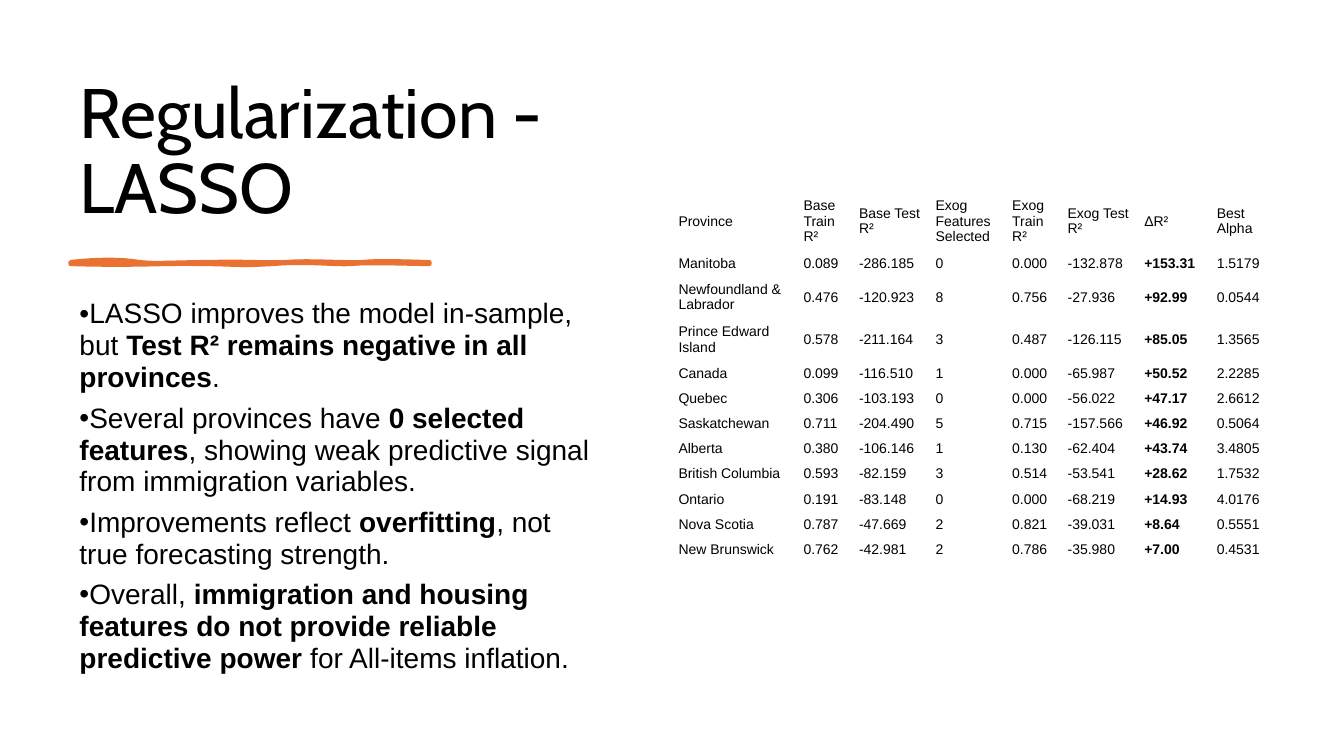
"""Build the LASSO regularization slide with its findings and results table."""
from lxml import etree
from pptx import Presentation
from pptx.dml.color import RGBColor
from pptx.enum.text import MSO_ANCHOR
from pptx.oxml.ns import qn
from pptx.util import Inches, Pt

BLACK = RGBColor(0x00, 0x00, 0x00)
ORANGE = RGBColor(0xE9, 0x71, 0x32)
MIDDLE, BOTTOM = MSO_ANCHOR.MIDDLE, MSO_ANCHOR.BOTTOM
HEAD_FONT, BODY_FONT = "Cabin", "Arial"

TITLE = "Regularization - LASSO"
FINDINGS = [
    [("LASSO improves the model in-sample, but ", False),
     ("Test R² remains negative in all provinces", True), (".", False)],
    [("Several provinces have ", False), ("0 selected features", True),
     (", showing weak predictive signal from immigration variables.", False)],
    [("Improvements reflect ", False), ("overfitting", True),
     (", not true forecasting strength.", False)],
    [("Overall, ", False),
     ("immigration and housing features do not provide reliable predictive power", True),
     (" for All-items inflation.", False)],
]
RESULTS = [
    ("Province", "Base Train R²", "Base Test R²", "Exog Features Selected",
     "Exog Train R²", "Exog Test R²", "ΔR²", "Best Alpha"),
    ("Manitoba", "0.089", "-286.185", "0", "0.000", "-132.878", "+153.31", "1.5179"),
    ("Newfoundland & Labrador", "0.476", "-120.923", "8", "0.756", "-27.936", "+92.99", "0.0544"),
    ("Prince Edward Island", "0.578", "-211.164", "3", "0.487", "-126.115", "+85.05", "1.3565"),
    ("Canada", "0.099", "-116.510", "1", "0.000", "-65.987", "+50.52", "2.2285"),
    ("Quebec", "0.306", "-103.193", "0", "0.000", "-56.022", "+47.17", "2.6612"),
    ("Saskatchewan", "0.711", "-204.490", "5", "0.715", "-157.566", "+46.92", "0.5064"),
    ("Alberta", "0.380", "-106.146", "1", "0.130", "-62.404", "+43.74", "3.4805"),
    ("British Columbia", "0.593", "-82.159", "3", "0.514", "-53.541", "+28.62", "1.7532"),
    ("Ontario", "0.191", "-83.148", "0", "0.000", "-68.219", "+14.93", "4.0176"),
    ("Nova Scotia", "0.787", "-47.669", "2", "0.821", "-39.031", "+8.64", "0.5551"),
    ("New Brunswick", "0.762", "-42.981", "2", "0.786", "-35.980", "+7.00", "0.4531"),
]
COL_WIDTHS = [1.24, 0.55, 0.76, 0.76, 0.55, 0.76, 0.72, 0.63]
ROW_HEIGHTS = [0.59, 0.25, 0.42, 0.42] + [0.25] * 8
DELTA_COL = 6

STROKE_START = (0.7, 2.6)
STROKE_CURVES = [
    ((0.97, 2.57), (1.21, 2.57), (1.38, 2.6)),
    ((1.55, 2.62), (1.77, 2.6), (2.09, 2.6)),
    ((2.41, 2.59), (2.6, 2.61), (2.84, 2.6)),
    ((3.08, 2.58), (3.39, 2.61), (3.59, 2.6)),
    ((3.79, 2.58), (4.12, 2.6), (4.26, 2.6)),
    ((4.26, 2.6), (4.26, 2.61), (4.26, 2.62)),
    ((4.08, 2.62), (3.64, 2.6), (3.48, 2.62)),
    ((3.32, 2.63), (3.04, 2.59), (2.7, 2.62)),
    ((2.35, 2.64), (2.31, 2.62), (1.99, 2.62)),
    ((1.66, 2.61), (1.32, 2.64), (0.7, 2.62)),
]
CURVE_STEPS = 8


def style(r, font, size, bold=False):
    r.font.name, r.font.size, r.font.bold = font, Pt(size), bold
    r.font.color.rgb = BLACK


def add_text_frame(s, x, y, w, h):
    tf = s.shapes.add_textbox(Inches(x), Inches(y), Inches(w), Inches(h)).text_frame
    tf.word_wrap = True
    return tf


def add_title(s):
    tf = add_text_frame(s, 0.69, 0.7, 5.27, 1.62)
    tf.vertical_anchor = BOTTOM
    tf.text = TITLE
    p = tf.paragraphs[0]
    p.line_spacing = 0.9
    style(p.runs[0], HEAD_FONT, 50)


def add_findings(s):
    tf = add_text_frame(s, 0.69, 2.91, 5.27, 3.88)
    for i, finding in enumerate(FINDINGS):
        p = tf.add_paragraph() if i else tf.paragraphs[0]
        p.line_spacing, p.space_after = 0.95, Pt(6)
        pPr = p._p.get_or_add_pPr()
        pPr.set("marL", "0")
        pPr.set("indent", "0")
        etree.SubElement(pPr, qn("a:buFont")).set("typeface", BODY_FONT)
        etree.SubElement(pPr, qn("a:buChar")).set("char", "•")
        for text, bold in finding:
            r = p.add_run()
            r.text = text
            style(r, BODY_FONT, 20, bold)


def curve_points(start, curves):
    points = []
    for a, b, end in curves:
        for step in range(1, CURVE_STEPS + 1):
            t = step / CURVE_STEPS
            u = 1 - t
            points.append(tuple(
                Inches(u**3 * c0 + 3 * u * u * t * c1 + 3 * u * t * t * c2 + t**3 * c3)
                for c0, c1, c2, c3 in zip(start, a, b, end)))
        start = end
    return points


def add_brush_stroke(s):
    x, y = STROKE_START
    outline = s.shapes.build_freeform(Inches(x), Inches(y))
    outline.add_line_segments(curve_points(STROKE_START, STROKE_CURVES), close=True)
    sp = outline.convert_to_shape()
    sp.shadow.inherit = False
    sp.fill.solid()
    sp.fill.fore_color.rgb = ORANGE
    sp.line.color.rgb = ORANGE
    sp.line.width = Pt(3)
    etree.SubElement(sp.line._get_or_add_ln(), qn("a:round"))


def add_results(s):
    tbl = s.shapes.add_table(
        len(RESULTS), len(COL_WIDTHS), Inches(6.67), Inches(1.9),
        Inches(sum(COL_WIDTHS)), Inches(sum(ROW_HEIGHTS))).table
    tbl.first_row = tbl.horz_banding = False
    for col, width in zip(tbl.columns, COL_WIDTHS):
        col.width = Inches(width)
    for i, (row, height) in enumerate(zip(tbl.rows, ROW_HEIGHTS)):
        row.height = Inches(height)
        for j, cell in enumerate(row.cells):
            cell.fill.background()
            cell.vertical_anchor = MIDDLE
            cell.margin_left = cell.margin_right = Inches(0.06)
            cell.margin_top = cell.margin_bottom = Inches(0.03)
            cell.text = RESULTS[i][j]
            style(cell.text_frame.paragraphs[0].runs[0], BODY_FONT, 10,
                  i > 0 and j == DELTA_COL)


def main():
    prs = Presentation()
    prs.slide_width, prs.slide_height = Inches(13.33), Inches(7.5)
    s = prs.slides.add_slide(prs.slide_layouts[6])
    add_title(s)
    add_brush_stroke(s)
    add_findings(s)
    add_results(s)
    prs.save("out.pptx")


if __name__ == "__main__":
    main()
